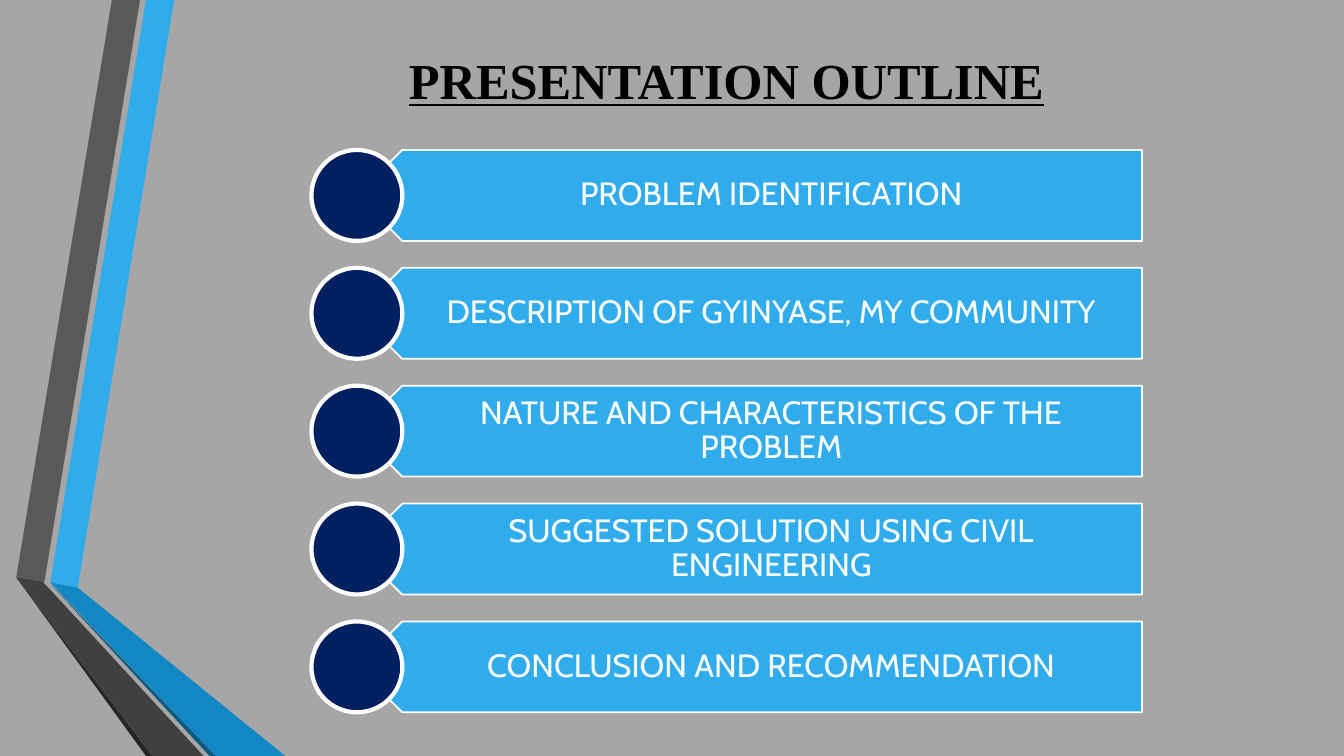
from pptx import Presentation
from pptx.dml.color import RGBColor
from pptx.enum.shapes import MSO_SHAPE
from pptx.enum.text import MSO_ANCHOR, MSO_AUTO_SIZE, PP_ALIGN
from pptx.util import Cm, Pt

PENTAGON, OVAL = MSO_SHAPE.PENTAGON, MSO_SHAPE.OVAL
MIDDLE, CENTER = MSO_ANCHOR.MIDDLE, PP_ALIGN.CENTER
NO_AUTOFIT = MSO_AUTO_SIZE.NONE

BLUE, NAVY, WHITE = "30ACEC", "002060", "FFFFFF"
TITLE_ONLY = 5

# Folded ribbons on the left: colour and corner points in cm
RIBBONS = [
    (BLUE, [(1.27, 14.68), (1.96, 14.81), (4.39, 0), (3.68, 0)]),
    ("595959", [(3.53, 0), (2.82, 0), (0.41, 14.55), (1.12, 14.66)]),
    ("262626", [(0.41, 14.55), (3.68, 19.05), (3.84, 19.05)]),
    ("0C5A82", [(1.27, 14.71), (5.28, 19.05), (5.44, 19.05)]),
    ("1287C3", [(1.27, 14.68), (5.44, 19.05), (7.19, 19.05), (1.96, 14.81)]),
    ("404040", [(5.13, 19.05), (1.22, 14.81), (1.09, 14.68), (1.12, 14.66),
                (0.41, 14.55), (3.84, 19.05)]),
]

TOPICS = [
    "PROBLEM IDENTIFICATION",
    "DESCRIPTION OF GYINYASE, MY COMMUNITY",
    "NATURE AND CHARACTERISTICS OF THE PROBLEM",
    "SUGGESTED SOLUTION USING CIVIL ENGINEERING",
    "CONCLUSION AND RECOMMENDATION",
]
FIRST_TOP, ROW_STEP, ROW_HEIGHT = 3.78, 2.97, 2.29


def rgb(value):
    return RGBColor.from_string(value)


def paint(sp, fill, line=None, width=0):
    sp.shadow.inherit = False
    sp.fill.solid()
    sp.fill.fore_color.rgb = rgb(fill)
    if line:
        sp.line.color.rgb = rgb(line)
        sp.line.width = Pt(width)
    else:
        sp.line.fill.background()


def place(sp, left, top, width, height):
    sp.left, sp.top = Cm(left), Cm(top)
    sp.width, sp.height = Cm(width), Cm(height)


def write(tf, text, font, size, color):
    tf.word_wrap = True
    tf.auto_size = NO_AUTOFIT
    tf.vertical_anchor = MIDDLE
    p = tf.paragraphs[0]
    p.alignment = CENTER
    p.line_spacing = 0.9
    r = p.add_run()
    r.text = text
    r.font.name = font
    r.font.size = Pt(size)
    r.font.color.rgb = rgb(color)
    return r


def add_ribbon(s, color, points):
    corners = [(Cm(x), Cm(y)) for x, y in points]
    builder = s.shapes.build_freeform(*corners[0])
    builder.add_line_segments(corners[1:], close=True)
    paint(builder.convert_to_shape(), color)


def add_title(s, text):
    title = s.shapes.title
    place(title, 4.39, 0, 27.84, 4.19)
    r = write(title.text_frame, text, "Times New Roman", 36, "000000")
    r.font.bold = True
    r.font.underline = True


def add_preset(s, kind, left, top, width, fill, line_width):
    sp = s.shapes.add_shape(kind, Cm(left), Cm(top), Cm(width), Cm(ROW_HEIGHT))
    paint(sp, fill, WHITE, line_width)
    return sp


def add_topic(s, top, text):
    # Band pointing left
    band = add_preset(s, PENTAGON, 8.99, top, 19.79, BLUE, 1.25)
    band.rotation = 180

    # Label over the band
    label = s.shapes.add_textbox(Cm(9.55), Cm(top), Cm(19.23), Cm(ROW_HEIGHT))
    tf = label.text_frame
    tf.margin_left, tf.margin_right = Cm(1.02), Cm(0.46)
    tf.margin_top = tf.margin_bottom = Cm(0.25)
    write(tf, text, "Cabin", 23, WHITE)

    # Round marker
    add_preset(s, OVAL, 7.85, top, ROW_HEIGHT, NAVY, 3)


def main():
    prs = Presentation()
    prs.slide_width, prs.slide_height = Cm(33.87), Cm(19.05)
    s = prs.slides.add_slide(prs.slide_layouts[TITLE_ONLY])
    s.background.fill.solid()
    s.background.fill.fore_color.rgb = rgb("A6A6A6")

    for color, points in RIBBONS:
        add_ribbon(s, color, points)
    add_title(s, "PRESENTATION OUTLINE")
    for i, topic in enumerate(TOPICS):
        add_topic(s, FIRST_TOP + i * ROW_STEP, topic)

    prs.save("out.pptx")


if __name__ == "__main__":
    main()
